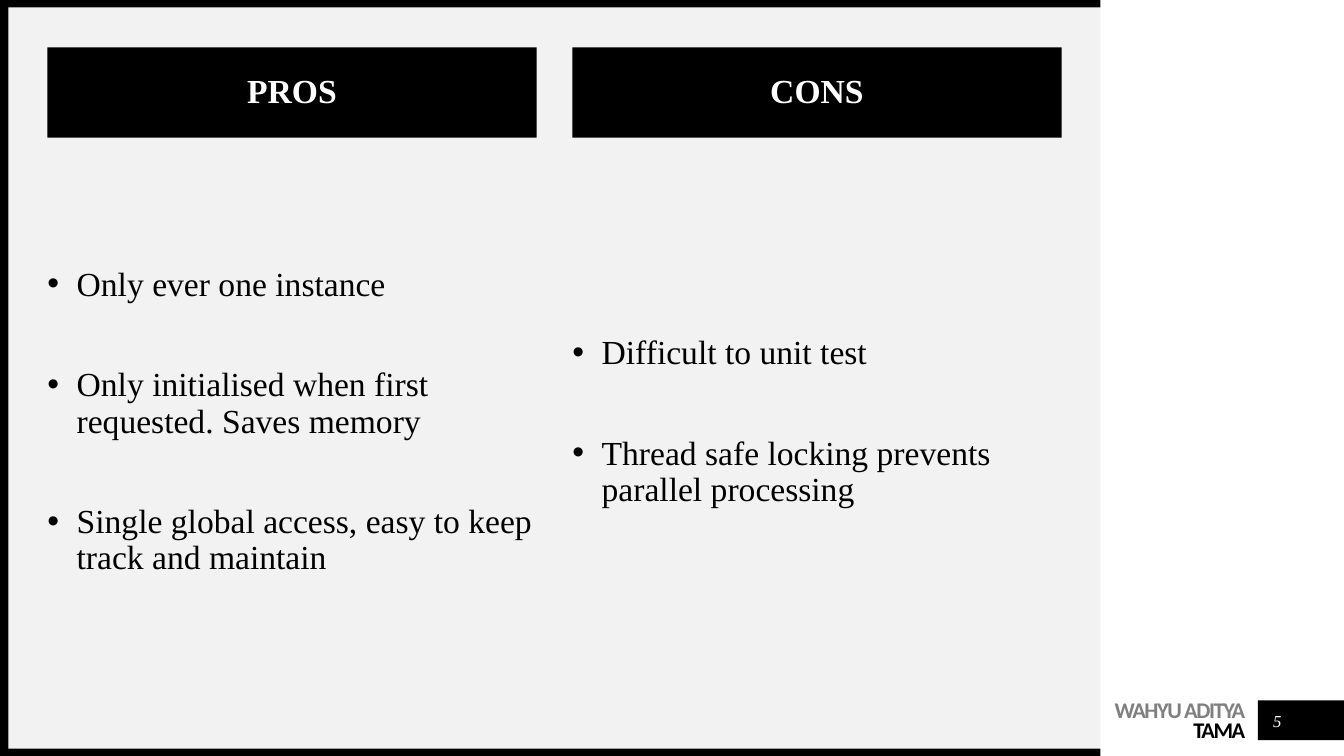
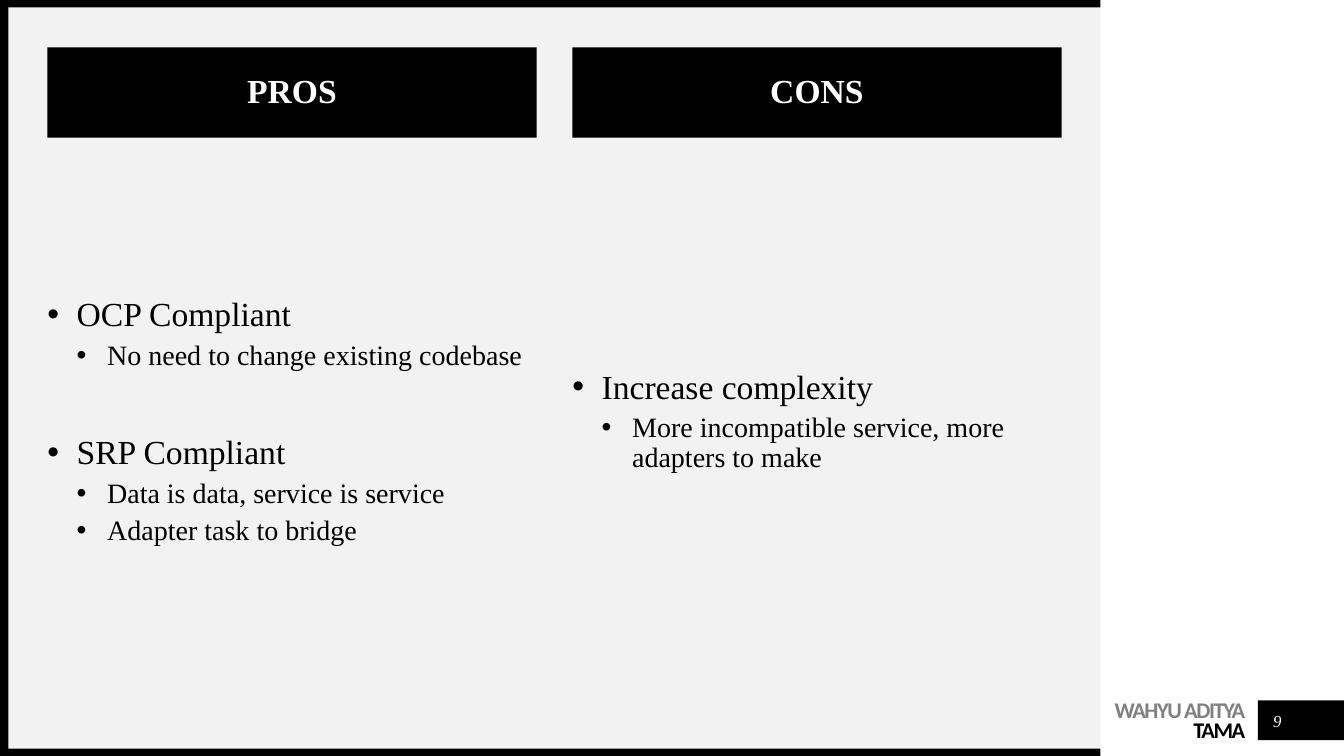
from dataclasses import dataclass

from lxml.etree import SubElement
from pptx import Presentation
from pptx.dml.color import RGBColor
from pptx.enum.shapes import MSO_SHAPE as Shape
from pptx.enum.text import MSO_ANCHOR as Anchor, MSO_AUTO_SIZE as AutoSize, PP_ALIGN as Align
from pptx.oxml.ns import qn
from pptx.util import Emu, Pt

COLORS = {"black": "000000", "panel": "F2F2F2", "grey": "808080", "white": "FFFFFF"}
SERIF, SANS = "Times New Roman", "Calibri"
COLUMN_LEFT, COLUMN_PITCH, COLUMN_WIDTH = 45, 500, 466


@dataclass(frozen=True)
class Box:
    """Position and size in px."""
    x: int
    y: int
    w: int
    h: int


@dataclass(frozen=True)
class Block:
    """Filled rectangle of the shared frame."""
    box: Box
    color: str


@dataclass(frozen=True)
class Level:
    """Indents in px and text sizes in points of a list level."""
    margin: int
    hang: int
    size: int
    before: int


@dataclass(frozen=True)
class Item:
    """List line, with its level and whether a wide gap precedes it."""
    text: str
    level: int = 0
    gap: bool = False


@dataclass(frozen=True)
class Column:
    """Heading with its list."""
    heading: str
    items: tuple[Item, ...]


@dataclass(frozen=True)
class Page:
    """Slide number with its columns."""
    number: str
    columns: tuple[Column, ...]


LEVELS = (Level(28, 28, 24, 10), Level(57, 29, 20, 5))
GAP_BEFORE = 46
FRAME = (
    Block(Box(8, 7, 1040, 706), "panel"),
    Block(Box(1198, 667, 82, 38), "black"),
    Block(Box(0, 713, 1048, 7), "black"),
    Block(Box(0, 0, 1048, 7), "black"),
    Block(Box(0, 0, 8, 720), "black"),
)
PAGES = (
    Page("5", (
        Column("PROS", (
            Item("Only ever one instance"),
            Item("Only initialised when first requested. Saves memory", gap=True),
            Item("Single global access, easy to keep track and maintain", gap=True),
        )),
        Column("CONS", (
            Item("Difficult to unit test"),
            Item("Thread safe locking prevents parallel processing", gap=True),
        )),
    )),
    Page("9", (
        Column("PROS", (
            Item("OCP Compliant"),
            Item("No need to change existing codebase", 1),
            Item("SRP Compliant", gap=True),
            Item("Data is data, service is service", 1),
            Item("Adapter task to bridge", 1),
        )),
        Column("CONS", (
            Item("Increase complexity"),
            Item("More incompatible service, more adapters to make", 1),
        )),
    )),
)


def px(n: int) -> Emu:
    """Convert px to EMU."""
    return Emu(n * 9525)


def rgb(name: str) -> RGBColor:
    """Look up a named colour."""
    return RGBColor.from_string(COLORS[name])


def edges(box: Box) -> tuple[Emu, ...]:
    """Give left, top, width and height in EMU."""
    return px(box.x), px(box.y), px(box.w), px(box.h)


def paint(sp, color: str) -> None:
    """Fill a shape with a flat colour."""
    sp.fill.solid()
    sp.fill.fore_color.rgb = rgb(color)


def frame_text(sp, anchor: Anchor, top: int = 0):
    """Set wrapping, anchor and insets and return the text frame."""
    tf = sp.text_frame
    tf.word_wrap = True
    tf.auto_size = AutoSize.NONE
    tf.vertical_anchor = anchor
    tf.margin_left = tf.margin_right = tf.margin_bottom = 0
    tf.margin_top = px(top)
    return tf


def add_run(p, text: str, size: int, color: str, font: str = SERIF,
            bold: bool = False, italic: bool = False):
    """Append a formatted run."""
    r = p.add_run()
    r.text = text
    r.font.name, r.font.size = font, Pt(size)
    r.font.bold, r.font.italic = bold, italic
    r.font.color.rgb = rgb(color)
    return r


def place(sp, box: Box) -> None:
    """Move and size a placeholder."""
    sp.left, sp.top, sp.width, sp.height = edges(box)


def add_author(s):
    """Draw the two-line author footer."""
    sp = s.shapes.add_textbox(*edges(Box(1011, 666, 175, 42)))
    p = frame_text(sp, Anchor.TOP, 4).paragraphs[0]
    p.alignment, p.line_spacing = Align.RIGHT, Pt(14)
    first = add_run(p, "WAHYU ADITYA", 16, "grey", SANS, bold=True)
    p.add_line_break()
    last = add_run(p, "TAMA", 16, "black", SANS, bold=True)
    for r in (first, last):
        r.font._element.set("spc", "-100")
    return sp


def add_block(s, block: Block):
    """Draw a rectangle of the frame."""
    sp = s.shapes.add_shape(Shape.RECTANGLE, *edges(block.box))
    sp.shadow.inherit = False
    sp.line.fill.background()
    paint(sp, block.color)
    return sp


def share_frame(s, layout) -> None:
    """Build the frame and hand it to the layout."""
    parts = [add_block(s, block) for block in FRAME] + [add_author(s)]
    for number, sp in enumerate(parts, 101):
        sp.element.xpath("./p:nvSpPr/p:cNvPr")[0].set("id", str(number))
        layout.shapes.element.append(sp.element)


def fill_heading(sp, box: Box, text: str) -> None:
    """Format a column heading."""
    place(sp, box)
    paint(sp, "black")
    p = frame_text(sp, Anchor.MIDDLE).paragraphs[0]
    p.alignment, p.line_spacing, p.space_before = Align.CENTER, 0.9, Pt(0)
    add_run(p, text, 24, "white", bold=True)


def fill_list(sp, box: Box, items: tuple[Item, ...]) -> None:
    """Write a bulleted list."""
    place(sp, box)
    tf = frame_text(sp, Anchor.MIDDLE)
    for i, item in enumerate(items):
        p = tf.paragraphs[0] if i == 0 else tf.add_paragraph()
        level = LEVELS[item.level]
        p.level = item.level
        pPr = p._p.get_or_add_pPr()
        pPr.set("marL", str(px(level.margin)))
        pPr.set("indent", str(-px(level.hang)))
        SubElement(pPr, qn("a:buFont")).set("typeface", "Arial")
        SubElement(pPr, qn("a:buChar")).set("char", "•")
        p.line_spacing = 0.9
        before = GAP_BEFORE if item.gap else level.before
        p.space_before = Pt(before if i else 0)
        add_run(p, item.text, level.size, "black")


def add_number(s, text: str) -> None:
    """Write the slide number."""
    sp = s.shapes.add_textbox(*edges(Box(1202, 672, 29, 29)))
    p = frame_text(sp, Anchor.MIDDLE).paragraphs[0]
    p.alignment = Align.CENTER
    add_run(p, text, 12, "white", italic=True)


def fill_page(s, page: Page) -> None:
    """Fill one slide with its columns and number."""
    title = s.shapes.title.element
    title.getparent().remove(title)
    slots = {sp.placeholder_format.idx: sp for sp in s.placeholders}
    for i, column in enumerate(page.columns):
        x = COLUMN_LEFT + i * COLUMN_PITCH
        fill_heading(slots[2 * i + 1], Box(x, 45, COLUMN_WIDTH, 86), column.heading)
        fill_list(slots[2 * i + 2], Box(x, 154, COLUMN_WIDTH, 496), column.items)
    add_number(s, page.number)


def main() -> None:
    """Build and save the slides."""
    prs = Presentation()
    prs.slide_width, prs.slide_height = px(1280), px(720)
    layout = prs.slide_layouts.get_by_name("Comparison")
    slides = [prs.slides.add_slide(layout) for _ in PAGES]
    share_frame(slides[0], layout)
    for s, page in zip(slides, PAGES):
        fill_page(s, page)
    prs.save("out.pptx")


if __name__ == "__main__":
    main()
